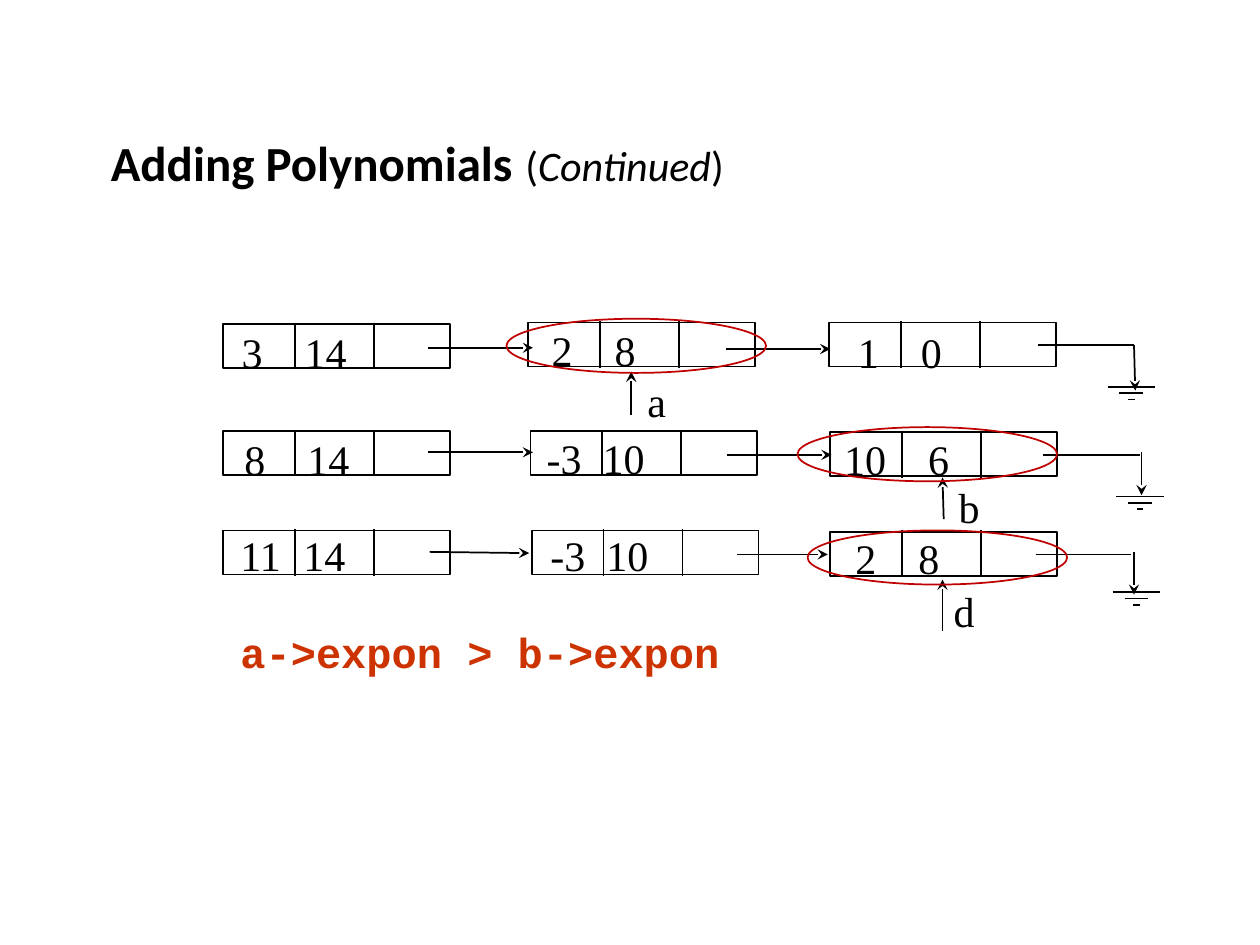
"""Build a slide that shows polynomial addition with linked lists."""
from dataclasses import dataclass

from lxml import etree
from pptx import Presentation
from pptx import util as u
from pptx.dml.color import RGBColor
from pptx.enum import shapes, text
from pptx.oxml.ns import qn

BLACK, RED, ORANGE = "000000", "C00000", "CC3300"
SERIF, SANS, MONO = "Times New Roman", "Calibri", "Courier New"
COLUMNS, ROWS = 100, 75
NODE_W, NODE_H = 18, 3.5
DIVIDERS = (5.7, 11.97)
RING_W, RING_H = 20.6, 4.3
TEXT_H = 5
GROUND_WIDTHS, GROUND_GAP = (3.8, 1.9, 0.5), 0.5

prs = Presentation()
prs.slide_width, prs.slide_height = u.Inches(10), u.Inches(7.5)


@dataclass
class Node:
    """A list node: its corner, its two numbers, and where they stand."""
    x: float
    y: float
    coef: str
    expon: str
    text_x: float
    text_y: float
    tab: float = 5


@dataclass
class Line:
    """A straight line, with or without an arrowhead at its end."""
    x1: float
    y1: float
    x2: float
    y2: float
    arrow: bool = True


@dataclass
class Label:
    """A pointer name and the corner of its text box."""
    name: str
    x: float
    y: float


NODES = [
    Node(17.7, 25.7, "3", "14", 18.2, 25.4),
    Node(41.9, 25.6, "2", "8", 42.8, 25.3),
    Node(65.8, 25.6, "1", "0", 67.1, 25.4),
    Node(17.7, 34.2, "8", "14", 18.4, 33.9),
    Node(42.1, 34.2, "-3", "10", 42.4, 33.8, 4.45),
    Node(65.9, 34.3, "10", "6", 66, 33.9, 6.67),
    Node(17.7, 42.1, "11", "14", 18.1, 41.5),
    Node(42.2, 42.1, "-3", "10", 42.7, 41.5, 4.45),
    Node(65.9, 42.2, "2", "8", 66.9, 41.8),
]
LINKS = [
    Line(34, 27.6, 42.3, 27.6), Line(57.6, 27.7, 65.9, 27.7),
    Line(34, 35.9, 42.3, 35.9), Line(57.7, 36.1, 66, 36.1),
    Line(34.1, 43.8, 42, 43.9), Line(58.5, 44, 65.7, 44),
]
TAILS = [
    Line(82.4, 27.4, 90, 27.4, False), Line(90, 27.4, 90.1, 31),
    Line(82.8, 36.1, 90.5, 36.1, False), Line(90.6, 35.9, 90.6, 39.3),
    Line(82.2, 44, 89.8, 44, False), Line(90, 43.8, 90, 47.2),
]
POINTERS = [
    Line(50.1, 32.9, 50.1, 29.5), Line(74.9, 41.2, 74.8, 37.9),
    Line(74.8, 50.1, 74.8, 46),
]
LABELS = [Label("a", 50.4, 29.3), Label("b", 75.1, 37.7), Label("d", 74.7, 46)]
GROUNDS = [(89.8, 30.7), (90.5, 39.4), (90.2, 47)]
RINGS = [(40.2, 25.3), (63.3, 33.9), (64.1, 42.1)]


def col(n: float) -> int:
    """Return the length of n grid columns."""
    return round(prs.slide_width * n / COLUMNS)


def row(n: float) -> int:
    """Return the length of n grid rows."""
    return round(prs.slide_height * n / ROWS)


def rgb(value: str) -> RGBColor:
    """Turn a hex string into a colour."""
    return RGBColor.from_string(value)


def set_font(font, name: str, size: float, color: str, bold: bool = False) -> None:
    """Format a paragraph or run font."""
    font.name, font.size, font.bold = name, u.Pt(size), bold
    font.color.rgb = rgb(color)


def add_line(parent, line: Line) -> None:
    """Draw one line of the diagram."""
    sp = parent.add_connector(shapes.MSO_CONNECTOR.STRAIGHT, col(line.x1),
                              row(line.y1), col(line.x2), row(line.y2))
    sp.line.color.rgb, sp.line.width = rgb(BLACK), u.Pt(1)
    if line.arrow:
        etree.SubElement(sp.line._get_or_add_ln(), qn("a:tailEnd"), type="stealth")
    etree.SubElement(sp._element.spPr, qn("a:effectLst"))


def add_outline(parent, kind, x: float, y: float, w: float, h: float,
                color: str) -> None:
    """Draw an unfilled preset shape."""
    sp = parent.add_shape(kind, col(x), row(y), col(w), row(h))
    sp.shadow.inherit = False
    sp.fill.background()
    sp.line.color.rgb, sp.line.width = rgb(color), u.Pt(1)


def add_text(s, words: str, x: float, y: float, w: float, font: str = SERIF,
             color: str = BLACK, bold: bool = False, tab: float = 0) -> None:
    """Write one line of text, with a tab stop if one is given."""
    tf = s.shapes.add_textbox(col(x), row(y), col(w), row(TEXT_H)).text_frame
    tf.word_wrap = True
    tf.auto_size = text.MSO_AUTO_SIZE.SHAPE_TO_FIT_TEXT
    p = tf.paragraphs[0]
    p.text = words
    if tab:
        tabs = etree.SubElement(p._p.get_or_add_pPr(), qn("a:tabLst"))
        etree.SubElement(tabs, qn("a:tab"), pos=str(col(tab)), algn="l")
    set_font(p.font, font, 24, color, bold)


def add_node(s, node: Node) -> None:
    """Draw a node with its dividers and numbers."""
    parts = s.shapes.add_group_shape().shapes
    add_outline(parts, shapes.MSO_SHAPE.RECTANGLE, node.x, node.y, NODE_W, NODE_H, BLACK)
    for dx in DIVIDERS:
        x = node.x + dx
        add_line(parts, Line(x, node.y - 0.1, x, node.y + NODE_H + 0.1, False))
    add_text(s, f"{node.coef}\t{node.expon}", node.text_x, node.text_y, 14.8, tab=node.tab)


def add_ground(s, x: float, y: float) -> None:
    """Draw the ground sign that ends a list."""
    for i, w in enumerate(GROUND_WIDTHS):
        level = y + i * GROUND_GAP
        add_line(s.shapes, Line(x - w / 2, level, x + w / 2, level, False))


def add_title(s) -> None:
    """Place and format the title."""
    sp = s.shapes.title
    sp.left, sp.top, sp.width, sp.height = col(7.8), row(6.7), col(92.1), row(12.5)
    tf = sp.text_frame
    tf.auto_size = text.MSO_AUTO_SIZE.NONE
    tf.vertical_anchor = text.MSO_ANCHOR.MIDDLE
    p = tf.paragraphs[0]
    p.alignment, p.line_spacing = text.PP_ALIGN.LEFT, 0.9
    for words, size, bold, italic in (
            ("Adding Polynomials", 28, True, False), (" ", 33, False, False),
            ("(", 24, False, False), ("Continued", 24, False, True),
            (")", 24, False, False)):
        r = p.add_run()
        r.text = words
        set_font(r.font, SANS, size, BLACK, bold)
        r.font.italic = italic


def main() -> None:
    """Build and save the slide."""
    s = prs.slides.add_slide(prs.slide_layouts[5])
    add_title(s)
    for node in NODES:
        add_node(s, node)
    for line in LINKS + TAILS + POINTERS:
        add_line(s.shapes, line)
    for x, y in GROUNDS:
        add_ground(s, x, y)
    for label in LABELS:
        add_text(s, label.name, label.x, label.y, 3.8)
    add_text(s, "a->expon > b->expon", 18.1, 49.2, 40, MONO, ORANGE, True)
    for x, y in RINGS:
        add_outline(s.shapes, shapes.MSO_SHAPE.OVAL, x, y, RING_W, RING_H, RED)
    prs.save("out.pptx")


if __name__ == "__main__":
    main()
